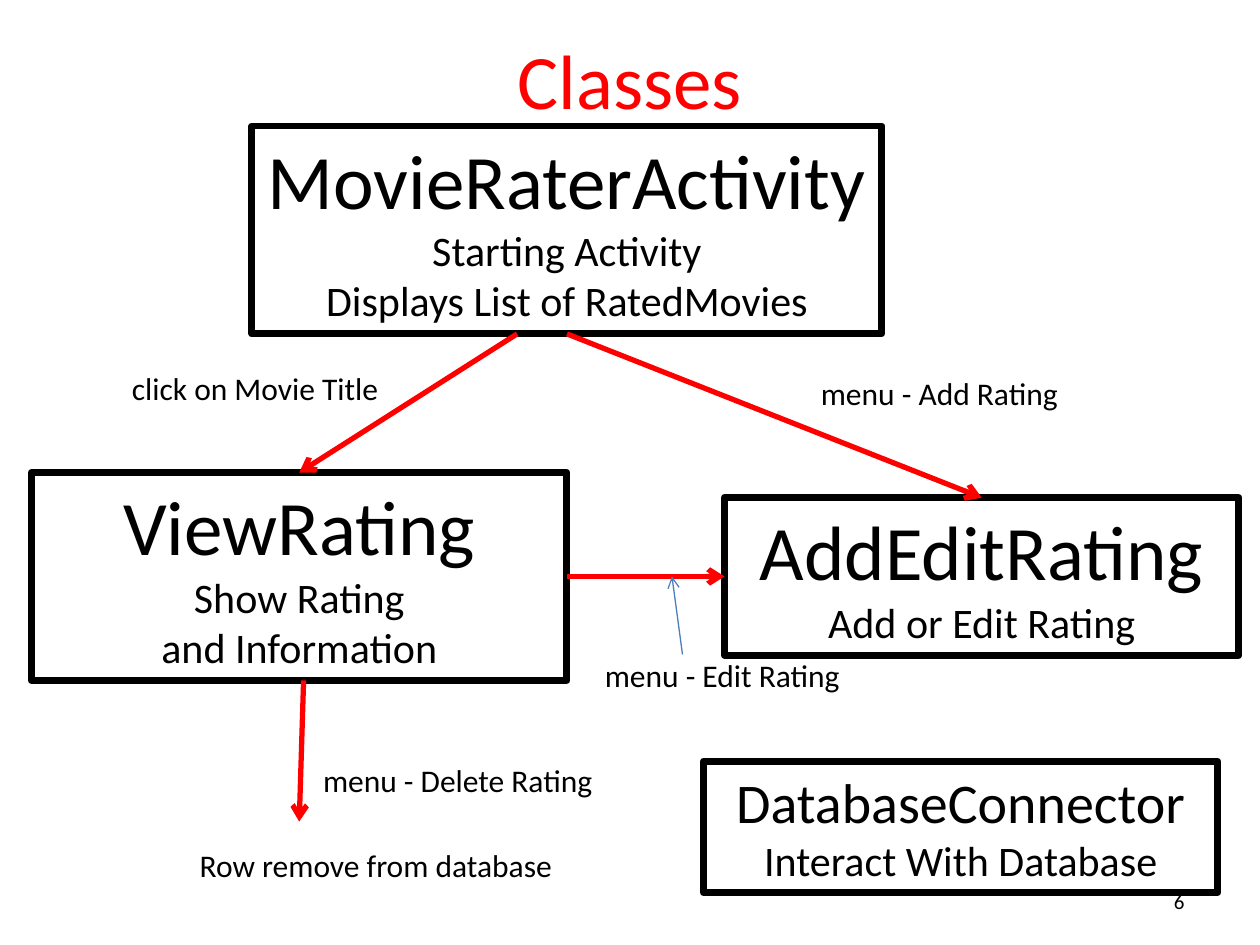
from pptx import Presentation
from pptx.dml.color import RGBColor
from pptx.enum.shapes import MSO_CONNECTOR as CONN, MSO_SHAPE as SHAPE
from pptx.enum.text import MSO_ANCHOR as ANCHOR, PP_ALIGN as ALIGN
from pptx.oxml.ns import qn
from pptx.util import Pt
from lxml.etree import SubElement


def rgb(value):
    return RGBColor.from_string(value)


def add_run(p, text, size, color="000000"):
    r = p.add_run()
    r.text = text
    r.font.name = "Calibri"
    r.font.size = Pt(size)
    r.font.color.rgb = rgb(color)


prs = Presentation()
prs.slide_width, prs.slide_height = Pt(720), Pt(540)
s = prs.slides.add_slide(prs.slide_layouts[6])

# Title, slide number and arrow labels:
# text, left, top, width, height, size, colour, alignment, anchor, wrap
label_style = (18, "000000", ALIGN.LEFT, ANCHOR.TOP, False)
texts = [
    ("Classes", 36, 0, 648, 90, 44, "FF0000", ALIGN.CENTER, ANCHOR.MIDDLE, True),
    ("6", 516, 500.5, 168, 28.75, 12, "000000", ALIGN.RIGHT, ANCHOR.MIDDLE, True),
    ("menu - Add Rating", 462, 210, 152, 29, *label_style),
    ("click on Movie Title", 68.25, 207.5, 157, 29, *label_style),
    ("menu - Edit Rating", 338.5, 371.5, 150.5, 29, *label_style),
    ("menu - Delete Rating", 177.5, 431.5, 171, 29, *label_style),
    ("Row remove from database", 107, 480, 218, 29, *label_style),
]
for text, x, y, w, h, size, color, align, anchor, wrap in texts:
    tf = s.shapes.add_textbox(Pt(x), Pt(y), Pt(w), Pt(h)).text_frame
    tf.word_wrap = wrap
    tf.vertical_anchor = anchor
    p = tf.paragraphs[0]
    p.alignment = align
    add_run(p, text, size, color)

# Class boxes: name, left, top, width, height, name size, fill, paragraphs of lines
classes = [
    ("MovieRaterActivity", 144, 72, 360, 118.8, 44, None,
     [["Starting Activity"], ["Displays List of RatedMovies"]]),
    ("AddEditRating", 414, 284.4, 294, 90, 44, None,
     [["Add or Edit Rating"]]),
    ("ViewRating", 18, 270, 306, 118.8, 44, None,
     [["Show Rating", "and Information"]]),
    ("DatabaseConnector", 402, 435, 294, 75, 32, "FFFFFF",
     [["Interact With Database"]]),
]
boxes = {}
for name, x, y, w, h, name_size, fill, paragraphs in classes:
    sp = s.shapes.add_shape(SHAPE.RECTANGLE, Pt(x), Pt(y), Pt(w), Pt(h))
    sp.shadow.inherit = False
    if fill:
        sp.fill.solid()
        sp.fill.fore_color.rgb = rgb(fill)
    else:
        sp.fill.background()
    sp.line.color.rgb = rgb("000000")
    sp.line.width = Pt(4)
    tf = sp.text_frame
    tf.word_wrap = True
    tf.vertical_anchor = ANCHOR.TOP
    for i, lines in enumerate(paragraphs):
        p = tf.add_paragraph() if i else tf.paragraphs[0]
        p.alignment = ALIGN.CENTER
        if i == 0:
            add_run(p, name, name_size)
            p.add_line_break()
        for j, line in enumerate(lines):
            if j:
                p.add_line_break()
            add_run(p, line, 24)
    boxes[name] = sp

# Arrows: start, end, colour, width, joined start, joined end (box, side)
arrows = [
    ((324, 190.8), (561, 284.4), "FF0000", 3,
     ("MovieRaterActivity", 2), ("AddEditRating", 0)),
    ((295.5, 190.8), (171, 270), "FF0000", 3, None, ("ViewRating", 0)),
    ((324, 329.4), (414, 329.4), "FF0000", 3,
     ("ViewRating", 3), ("AddEditRating", 1)),
    ((173.5, 388.8), (171, 469.5), "FF0000", 3, None, None),
    ((390, 374), (384, 329.4), "4B7EBC", 0.75, None, None),
]
for (x1, y1), (x2, y2), color, width, begin, end in arrows:
    c = s.shapes.add_connector(CONN.STRAIGHT, Pt(x1), Pt(y1), Pt(x2), Pt(y2))
    if begin:
        c.begin_connect(boxes[begin[0]], begin[1])
    if end:
        c.end_connect(boxes[end[0]], end[1])
    c.line.color.rgb = rgb(color)
    c.line.width = Pt(width)
    SubElement(c.line._get_or_add_ln(), qn("a:tailEnd"), type="arrow")
    SubElement(c._element.spPr, qn("a:effectLst"))

prs.save("out.pptx")
